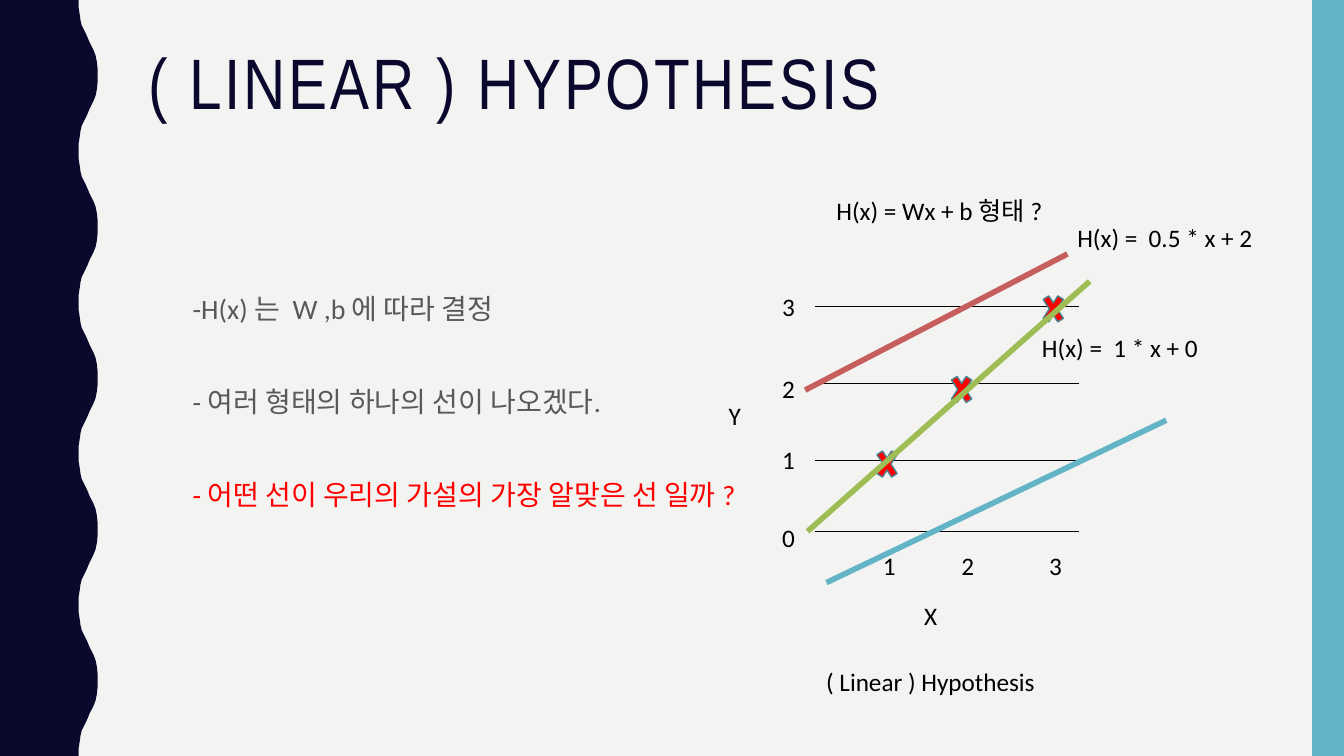
from lxml import etree
from pptx import Presentation
from pptx.dml.color import RGBColor
from pptx.enum import shapes, text
from pptx.oxml import ns
from pptx.util import Cm, Pt

NAVY = RGBColor(0x0B, 0x08, 0x2E)
TEAL = RGBColor(0x62, 0xB4, 0xC6)
PAPER = RGBColor(0xF3, 0xF3, 0xF2)
GRAY = RGBColor(0x59, 0x59, 0x59)
BLACK = RGBColor(0x00, 0x00, 0x00)
RED = RGBColor(0xFF, 0x00, 0x00)
BRICK = RGBColor(0xC6, 0x5E, 0x5E)
GREEN = RGBColor(0x9E, 0xBE, 0x55)
MARK_EDGE = RGBColor(0x49, 0x85, 0x92)

WIDTH, HEIGHT = 33.87, 19.05
WAVE_COUNT = 5
HALF_WAVE = [
    (1.98, 0), (1.98, 0.18), (2.01, 0.36), (2.03, 0.51), (2.06, 0.64),
    (2.11, 0.74), (2.16, 0.84), (2.21, 0.95), (2.26, 1.07), (2.31, 1.17),
    (2.36, 1.27), (2.41, 1.4), (2.44, 1.55), (2.46, 1.73), (2.46, 1.9),
]


def style_run(r, size, color, font="Calibri"):
    r.font.size = Pt(size)
    r.font.name = font
    r.font.color.rgb = color


def place(sp, box):
    sp.left, sp.top, sp.width, sp.height = [Cm(v) for v in box]


def paint(sp, fill, edge=None):
    sp.shadow.inherit = False
    sp.fill.solid()
    sp.fill.fore_color.rgb = fill
    if edge is None:
        sp.line.fill.background()
    else:
        sp.line.color.rgb = edge
        sp.line.width = Pt(1)


def add_label(s, caption, x, y, w=0.84):
    sp = s.shapes.add_textbox(Cm(x), Cm(y), Cm(w), Cm(1.02))
    tf = sp.text_frame
    tf.word_wrap = False
    tf.auto_size = text.MSO_AUTO_SIZE.SHAPE_TO_FIT_TEXT
    tf.text = caption
    style_run(tf.paragraphs[0].runs[0], 18, BLACK)


def add_line(s, x1, y1, x2, y2, color, width):
    line = s.shapes.add_connector(
        shapes.MSO_CONNECTOR.STRAIGHT, Cm(x1), Cm(y1), Cm(x2), Cm(y2))
    line.line.color.rgb = color
    line.line.width = Pt(width)
    etree.SubElement(line._element.spPr, ns.qn("a:effectLst"))


def add_wave(s, left, top, height):
    period = height / WAVE_COUNT
    wave = HALF_WAVE + [(x, period - y) for x, y in reversed(HALF_WAVE)]
    edge = [(left + x, top + i * period + y)
            for i in range(WAVE_COUNT) for x, y in wave]
    outline = [(Cm(x), Cm(y)) for x, y in edge + [(left, top + height)]]
    builder = s.shapes.build_freeform(Cm(left), Cm(top))
    builder.add_line_segments(outline, close=True)
    paint(builder.convert_to_shape(), NAVY)


def add_side_bar(s, box):
    bar = s.shapes.add_shape(
        shapes.MSO_SHAPE.RECTANGLE, *[Cm(v) for v in box])
    paint(bar, TEAL)


def fill_title(s, box):
    title = s.shapes.title
    place(title, box)
    tf = title.text_frame
    tf.text = "( LINEAR ) HYPOTHESIS"
    tf.word_wrap = True
    tf.auto_size = text.MSO_AUTO_SIZE.NONE
    tf.vertical_anchor = text.MSO_ANCHOR.TOP
    p = tf.paragraphs[0]
    p.alignment = text.PP_ALIGN.LEFT
    p.line_spacing = 0.9
    r = p.runs[0]
    style_run(r, 51, NAVY, "Arial Narrow")
    r._r.get_or_add_rPr().set("spc", "200")


def fill_body(s, box):
    body = s.placeholders[1]
    place(body, box)
    tf = body.text_frame
    tf.word_wrap = True
    tf.auto_size = text.MSO_AUTO_SIZE.NONE
    tf.vertical_anchor = text.MSO_ANCHOR.TOP
    points = [
        ("-H(x) 는  W ,b 에 따라 결정", GRAY, 7),
        ("- 여러 형태의 하나의 선이 나오겠다.", GRAY, 40),
        ("- 어떤 선이 우리의 가설의 가장 알맞은 선 일까 ?", RED, 40),
    ]
    tf.text = "\n".join(point for point, _, _ in points)
    for p, (_, color, gap) in zip(tf.paragraphs, points):
        p.line_spacing = 1.1
        p.space_before = Pt(gap)
        pPr = p._p.get_or_add_pPr()
        pPr.set("marL", "0")
        pPr.set("indent", "0")
        etree.SubElement(pPr, ns.qn("a:buNone"))
        style_run(p.runs[0], 20, color)


def add_plot(s, left, top):
    for y in (8.59, 6.81, 4.85, 2.92):
        add_line(s, left + 2.44, top + y, left + 9.09, top + y, BLACK, 0.5)

    labels = [(str(i), 1.35, y) for i, y in enumerate((8.23, 6.27, 4.47, 2.41))]
    labels += [(str(i), x, 8.94) for i, x in enumerate((3.89, 5.87, 8.08), 1)]
    labels += [("Y", 0, 5.16), ("X", 4.93, 10.21)]
    for caption, x, y in labels:
        add_label(s, caption, left + x, top + y)

    for x, y in ((3.89, 6.35), (5.77, 4.47), (8.08, 2.44)):
        mark = s.shapes.add_shape(
            shapes.MSO_SHAPE.MATH_MULTIPLY,
            Cm(left + x), Cm(top + y), Cm(0.71), Cm(1.09))
        paint(mark, RED, MARK_EDGE)

    for x1, y1, x2, y2, color in (
        (2.18, 5.03, 8.79, 1.6, BRICK),
        (2.24, 8.59, 9.35, 2.29, GREEN),
        (2.72, 9.88, 11.28, 5.79, TEAL),
    ):
        add_line(s, left + x1, top + y1, left + x2, top + y2, color, 4)

    for caption, x, y, w in (
        ("( Linear ) Hypothesis", 2.46, 11.86, 5.97),
        ("H(x) = Wx + b 형태 ?", 2.72, 0, 6.25),
        ("H(x) =  0.5 * x + 2", 8.79, 0.69, 5.0),
        ("H(x) =  1 * x + 0", 7.9, 3.46, 4.5),
    ):
        add_label(s, caption, left + x, top + y, w)


def build_hypothesis_slide(prs):
    s = prs.slides.add_slide(prs.slide_layouts[1])
    s.background.fill.solid()
    s.background.fill.fore_color.rgb = PAPER
    add_wave(s, 0, 0, HEIGHT)
    add_side_bar(s, (33.07, 0, WIDTH - 33.07, HEIGHT))
    fill_title(s, (3.48, 1.07, 28.27, 4.14))
    fill_body(s, (4.6, 7.14, 14.1, 9.98))
    add_plot(s, 18.11, 4.8)


def main():
    prs = Presentation()
    prs.slide_width, prs.slide_height = Cm(WIDTH), Cm(HEIGHT)
    build_hypothesis_slide(prs)
    prs.save("out.pptx")


if __name__ == "__main__":
    main()
